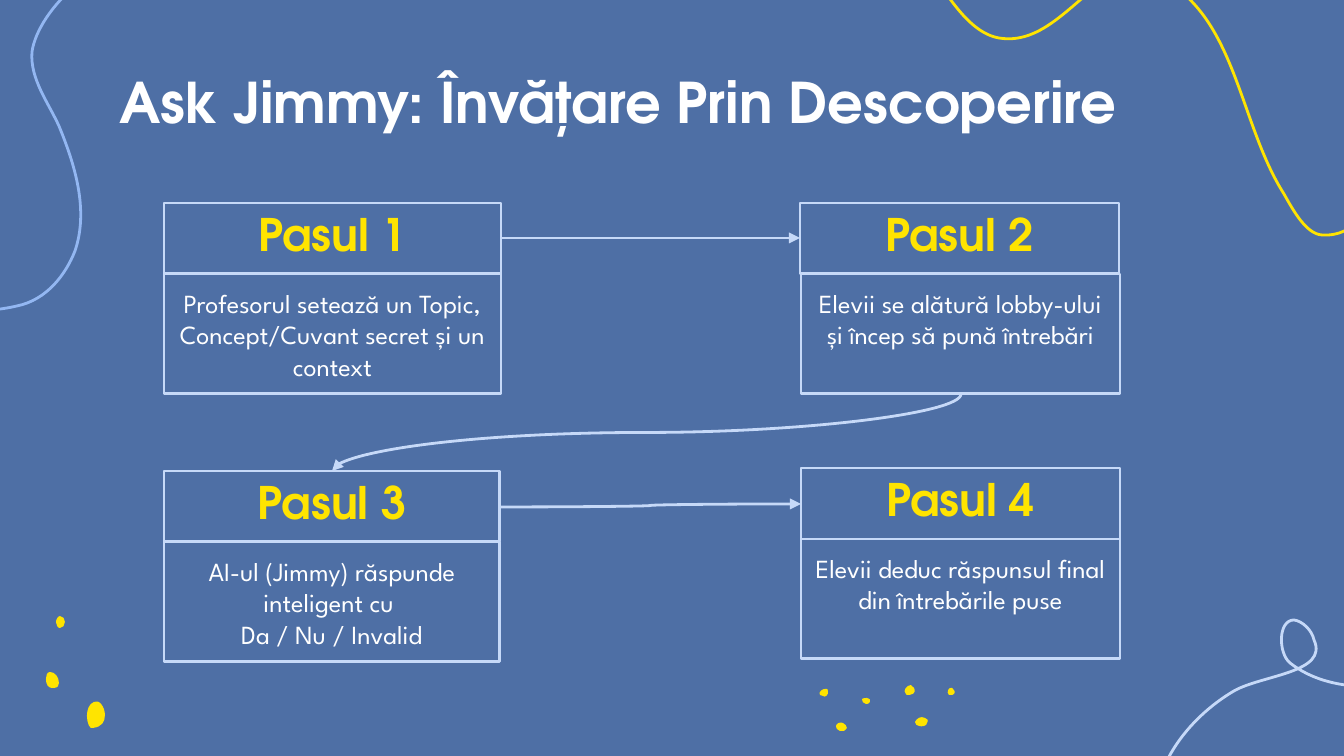
from typing import NamedTuple

from lxml import etree
from pptx import Presentation, util as u
from pptx.dml.color import RGBColor
from pptx.enum import shapes, text
from pptx.oxml.ns import qn

EMU_PER_PX = 914400 / 134.4
COLORS = {
    "background": "4E6FA5",
    "pale": "C6D9F8",
    "sky": "93B7F2",
    "yellow": "FFE400",
    "white": "FFFFFF",
}
HEADING_FONT, BODY_FONT = "TeX Gyre Adventor", "League Spartan"
HEADER_HEIGHT, BODY_HEIGHT = 71, 120
INSET = u.Inches(0.1)
STROKE = u.Pt(1.5)

Point = tuple[int, int]


class Style(NamedTuple):
    font: str
    size: int
    color: str
    bold: bool
    anchor: text.MSO_ANCHOR
    align: text.PP_ALIGN


class Step(NamedTuple):
    left: int
    top: int
    width: int
    heading: str
    lines: list[str]
    body_shift: int = 0


class Squiggle(NamedTuple):
    color: str
    points: list[Point]


class Arrow(NamedTuple):
    start: Point
    end: Point
    vertical: bool = False


TITLE = Style(HEADING_FONT, 30, "white", True, text.MSO_ANCHOR.TOP, text.PP_ALIGN.LEFT)
HEADING = Style(HEADING_FONT, 24, "yellow", True, text.MSO_ANCHOR.BOTTOM, text.PP_ALIGN.CENTER)
BODY = Style(BODY_FONT, 14, "white", False, text.MSO_ANCHOR.TOP, text.PP_ALIGN.CENTER)

STEPS = [
    Step(164, 203, 337, "Pasul 1",
         ["Profesorul setează un Topic, Concept/Cuvant secret și un context"]),
    Step(800, 203, 319, "Pasul 2",
         ["Elevii se alătură lobby-ului și încep să pună întrebări"], body_shift=1),
    Step(164, 471, 336, "Pasul 3",
         ["AI-ul (Jimmy) răspunde inteligent cu ", "Da / Nu / Invalid"]),
    Step(801, 468, 319, "Pasul 4",
         ["Elevii deduc răspunsul final din întrebările puse"]),
]
ARROWS = [
    Arrow((501, 238), (800, 238)),
    Arrow((961, 394), (332, 471), vertical=True),
    Arrow((500, 507), (801, 504)),
]

# Each list is a start point followed by two control points and an end point per curve.
SQUIGGLES = [
    Squiggle("sky", [
        (156, -40), (104, -54), (38, 9), (32, 52), (30, 79), (48, 102), (59, 126),
        (75, 165), (89, 210), (75, 251), (66, 274), (47, 300), (17, 306),
        (-16, 314), (-62, 310), (-83, 333), (-122, 374), (-137, 429), (-130, 477)]),
    Squiggle("yellow", [
        (1390, 43), (1390, 116), (1390, 239), (1322, 235), (1306, 234), (1293, 210),
        (1284, 194), (1242, 128), (1237, 31), (1175, -13), (1157, -26), (1134, -35),
        (1118, -27), (1078, -8), (1047, 46), (999, 38), (965, 32), (942, -15),
        (919, -46), (899, -74), (876, -99), (853, -125)]),
    Squiggle("pale", [
        (1434, 680), (1390, 688), (1331, 695), (1290, 663), (1278, 653), (1278, 620),
        (1294, 620), (1302, 621), (1312, 630), (1314, 640), (1329, 673), (1262, 675),
        (1234, 691), (1188, 718), (1146, 771), (1156, 828)]),
]
LEFT_DOTS = [
    [(59, 683), (59, 685), (58, 688), (54, 688), (48, 689), (46, 684), (46, 679),
     (46, 676), (47, 672), (50, 672), (55, 672), (59, 677), (59, 683)],
    [(65, 622), (65, 625), (63, 628), (60, 628), (58, 628), (56, 625), (56, 622),
     (56, 620), (58, 616), (60, 616), (63, 616), (65, 619), (65, 622)],
    [(105, 715), (105, 722), (102, 727), (93, 728), (90, 730), (87, 723), (87, 716),
     (87, 710), (89, 704), (94, 702), (99, 699), (105, 707), (105, 715)],
]
BOTTOM_DOTS = [
    [(823, 696), (821, 696), (821, 695), (820, 695), (818, 692), (823, 688), (827, 689),
     (827, 689), (828, 689), (828, 691), (829, 695), (825, 698), (823, 696)],
    [(840, 731), (837, 730), (836, 728), (836, 726), (837, 723), (840, 722), (843, 723),
     (845, 724), (847, 726), (847, 728), (845, 731), (843, 732), (840, 731)],
    [(919, 726), (917, 726), (915, 724), (915, 722), (917, 718), (921, 716), (925, 718),
     (927, 719), (929, 720), (927, 723), (927, 726), (922, 727), (919, 726)],
    [(866, 704), (863, 703), (862, 702), (862, 699), (863, 698), (866, 698), (867, 698),
     (870, 699), (871, 700), (870, 702), (870, 704), (867, 704), (866, 704)],
    [(907, 695), (907, 694), (906, 694), (906, 694), (902, 691), (907, 685), (911, 685),
     (913, 687), (913, 687), (914, 688), (917, 694), (911, 695), (907, 695)],
    [(950, 695), (950, 695), (950, 695), (949, 695), (946, 692), (949, 687), (952, 688),
     (953, 688), (953, 688), (953, 689), (957, 692), (954, 696), (950, 695)],
]


def px(length: float) -> u.Emu:
    return u.Emu(round(length * EMU_PER_PX))


def rgb(name: str) -> RGBColor:
    return RGBColor.from_string(COLORS[name])


def stroke(line, color: str) -> None:
    line.color.rgb = rgb(color)
    line.width = STROKE


def draw_curves(container, points: list[Point], closed: bool):
    """Build a freeform, then join every three segments into one cubic Bézier curve."""
    vertices = [(px(x), px(y)) for x, y in points]
    builder = container.build_freeform(*vertices[0])
    builder.add_line_segments(vertices[1:], close=closed)
    shape = builder.convert_to_shape()
    shape.shadow.inherit = False
    segments = list(shape._element.iter(qn("a:lnTo")))
    for first in range(0, len(segments), 3):
        curve = etree.Element(qn("a:cubicBezTo"))
        segments[first].addprevious(curve)
        for segment in segments[first:first + 3]:
            curve.append(segment[0])
            segment.getparent().remove(segment)
    return shape


def draw_squiggle(slide, squiggle: Squiggle) -> None:
    shape = draw_curves(slide.shapes, squiggle.points, closed=False)
    shape.fill.background()
    stroke(shape.line, squiggle.color)


def draw_dots(slide, dots: list[list[Point]]) -> None:
    group = slide.shapes.add_group_shape()
    for points in dots:
        shape = draw_curves(group.shapes, points, closed=True)
        shape.fill.solid()
        shape.fill.fore_color.rgb = rgb("yellow")
        shape.line.fill.background()


def write(shape, lines: list[str], style: Style) -> None:
    frame = shape.text_frame
    frame.word_wrap = True
    frame.vertical_anchor = style.anchor
    frame.margin_left = frame.margin_right = frame.margin_top = frame.margin_bottom = INSET
    for index, line in enumerate(lines):
        paragraph = frame.add_paragraph() if index else frame.paragraphs[0]
        paragraph.alignment = style.align
        run = paragraph.add_run()
        run.text = line
        run.font.name = style.font
        run.font.size = u.Pt(style.size)
        run.font.bold = style.bold
        run.font.color.rgb = rgb(style.color)


def draw_box(slide, left: int, top: int, width: int, height: int,
             lines: list[str], style: Style) -> None:
    shape = slide.shapes.add_shape(shapes.MSO_SHAPE.RECTANGLE, px(left), px(top),
                                   px(width), px(height))
    shape.shadow.inherit = False
    shape.fill.background()
    stroke(shape.line, "pale")
    write(shape, lines, style)


def draw_step(slide, step: Step) -> None:
    draw_box(slide, step.left + step.body_shift, step.top + HEADER_HEIGHT, step.width,
             BODY_HEIGHT, step.lines, BODY)
    draw_box(slide, step.left, step.top, step.width, HEADER_HEIGHT, [step.heading], HEADING)


def draw_arrow(slide, arrow: Arrow) -> None:
    """Draw a curved arrow; a vertical one is laid out sideways and turned by 90 degrees."""
    (x1, y1), (x2, y2) = arrow.start, arrow.end
    if arrow.vertical:
        middle_x, middle_y = (x1 + x2) / 2, (y1 + y2) / 2
        half_width, half_height = (y2 - y1) / 2, (x1 - x2) / 2
        x1, x2 = middle_x - half_width, middle_x + half_width
        y1, y2 = middle_y - half_height, middle_y + half_height
    connector = slide.shapes.add_connector(shapes.MSO_CONNECTOR.CURVE,
                                           px(x1), px(y1), px(x2), px(y2))
    stroke(connector.line, "pale")
    properties = connector._element.spPr
    if arrow.vertical:
        properties.find(qn("a:xfrm")).set("rot", "5400000")
    etree.SubElement(properties.find(qn("a:ln")), qn("a:tailEnd"), type="triangle")
    etree.SubElement(properties, qn("a:effectLst"))


def main() -> None:
    presentation = Presentation()
    presentation.slide_width, presentation.slide_height = px(1344), px(756)
    slide = presentation.slides.add_slide(presentation.slide_layouts[6])
    slide.background.fill.solid()
    slide.background.fill.fore_color.rgb = rgb("background")

    draw_dots(slide, LEFT_DOTS)
    for squiggle in SQUIGGLES:
        draw_squiggle(slide, squiggle)
    draw_dots(slide, BOTTOM_DOTS)
    title = slide.shapes.add_textbox(px(106), px(54), px(1133), px(85))
    write(title, ["Ask Jimmy: Învățare Prin Descoperire"], TITLE)
    for step in STEPS:
        draw_step(slide, step)
    for arrow in ARROWS:
        draw_arrow(slide, arrow)
    presentation.save("out.pptx")


if __name__ == "__main__":
    main()
